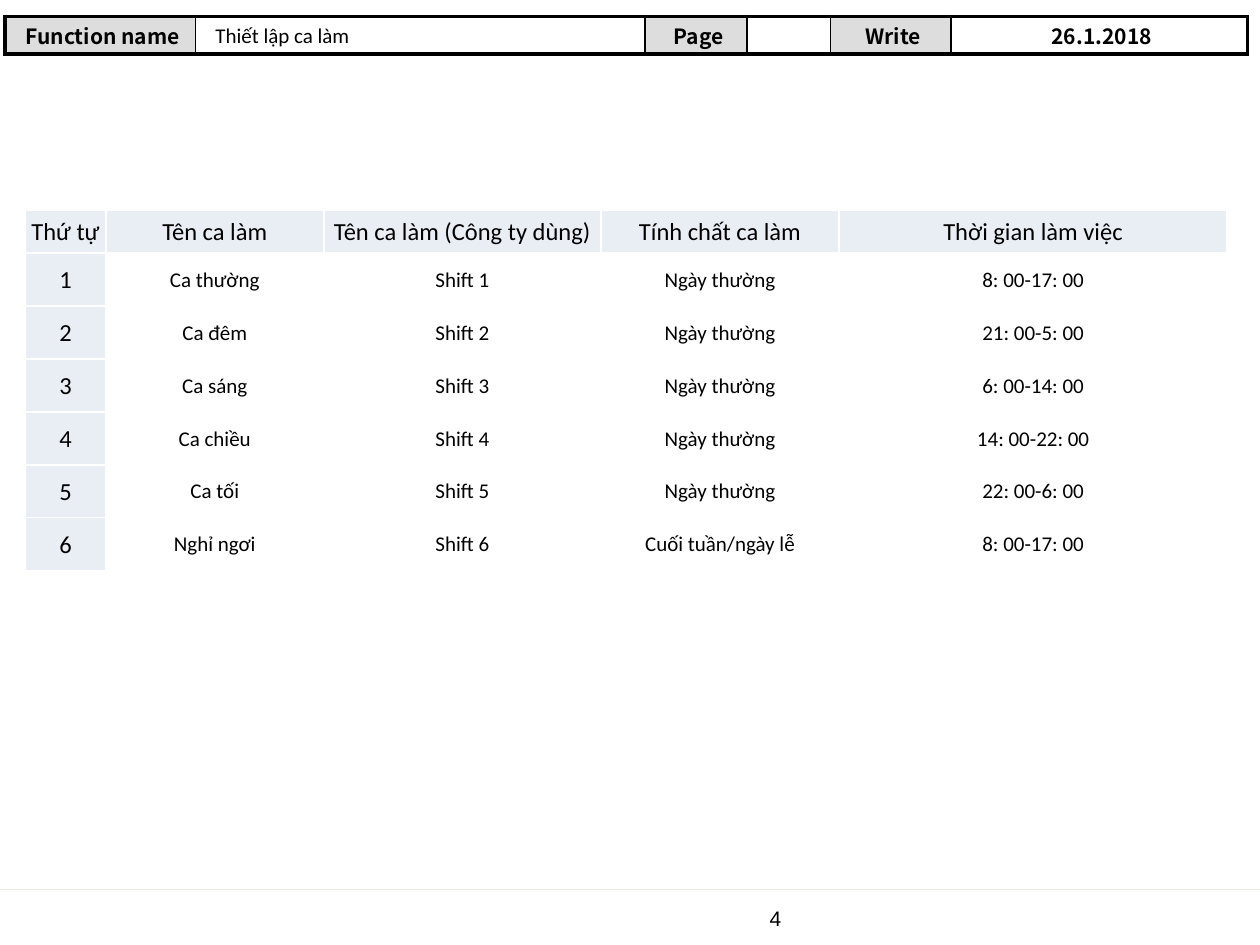
"""Build the work shift setup slide with its header strip and shift table."""
from dataclasses import dataclass

from lxml import etree
from pptx import Presentation
from pptx.dml.color import RGBColor
from pptx.enum.shapes import MSO_CONNECTOR
from pptx.enum.text import MSO_ANCHOR, MSO_AUTO_SIZE, PP_ALIGN
from pptx.oxml.ns import qn
from pptx.util import Inches, Pt

CENTER, LEFT = PP_ALIGN.CENTER, PP_ALIGN.LEFT
MIDDLE, TOP = MSO_ANCHOR.MIDDLE, MSO_ANCHOR.TOP
NO_AUTOFIT = MSO_AUTO_SIZE.NONE
STRAIGHT = MSO_CONNECTOR.STRAIGHT
TITLE_ONLY = 5


@dataclass(frozen=True)
class Theme:
    """Colours, fonts and sizes of the slide."""
    ink: str = "000000"
    paper: str = "FFFFFF"
    label: str = "DDDDDD"
    heading: str = "E9EDF4"
    rule: str = "EEECE1"
    body_font: str = "Calibri"
    label_font: str = "Noto Sans CJK SC"
    number_font: str = "Arial"
    body_size: float = 12
    heading_size: float = 14
    thin: float = 1
    thick: float = 2.25
    rule_width: float = 0.75


class SlideBuilder:
    """Holds the theme and the current slide and draws each kind of element."""

    def __init__(self, page, theme):
        self.page = page
        self.theme = theme

    def style(self, para, font, size, align, bold=False):
        para.alignment = align
        para.font.name = font
        para.font.size = Pt(size)
        para.font.bold = bold
        para.font.color.rgb = RGBColor.from_string(self.theme.ink)

    def fill_frame(self, box, text, font, anchor, wrap):
        frame = box.text_frame
        frame.text = text
        frame.word_wrap = wrap
        frame.auto_size = NO_AUTOFIT
        frame.vertical_anchor = anchor
        self.style(frame.paragraphs[0], font, self.theme.body_size, LEFT)

    def title(self, text, left, top, width, height):
        box = self.page.shapes.title
        box.left, box.top = Inches(left), Inches(top)
        box.width, box.height = Inches(width), Inches(height)
        self.fill_frame(box, text, self.theme.body_font, MIDDLE, True)

    def page_number(self, text, left, top, width, height):
        box = self.page.shapes.add_textbox(
            Inches(left), Inches(top), Inches(width), Inches(height))
        self.fill_frame(box, text, self.theme.number_font, TOP, False)

    def rule(self, top, width):
        line = self.page.shapes.add_connector(
            STRAIGHT, 0, Inches(top), Inches(width), Inches(top))
        line.line.color.rgb = RGBColor.from_string(self.theme.rule)
        line.line.width = Pt(self.theme.rule_width)
        etree.SubElement(line._element.spPr, qn("a:effectLst"))

    def table(self, left, top, columns, rows):
        frame = self.page.shapes.add_table(
            len(rows), len(columns), Inches(left), Inches(top),
            Inches(sum(columns)), Inches(sum(rows)))
        table = frame.table
        table.first_row = table.horz_banding = False
        for column, width in zip(table.columns, columns):
            column.width = Inches(width)
        for row, height in zip(table.rows, rows):
            row.height = Inches(height)
        return table

    def borders(self, cell, color, widths):
        properties = cell._tc.get_or_add_tcPr()
        for side, width in zip("LRTB", widths):
            line = etree.SubElement(properties, qn(f"a:ln{side}"), w=str(Pt(width)))
            solid = etree.SubElement(line, qn("a:solidFill"))
            etree.SubElement(solid, qn("a:srgbClr"), val=color)

    def cell(self, cell, text, fill, font, size, margins, bold=False):
        cell.margin_left, cell.margin_top, cell.margin_right, cell.margin_bottom = (
            Inches(margin) for margin in margins)
        cell.vertical_anchor = MIDDLE
        if fill:
            cell.fill.solid()
            cell.fill.fore_color.rgb = RGBColor.from_string(fill)
        else:
            cell.fill.background()
        cell.text = text
        self.style(cell.text_frame.paragraphs[0], font, size, CENTER, bold)

    def header_strip(self, left, top, columns, height, texts):
        theme = self.theme
        table = self.table(left, top, columns, [height])
        last = len(columns) - 1
        for index, text in enumerate(texts):
            cell = table.cell(0, index)
            self.borders(cell, theme.ink, (
                theme.thick if index == 0 else theme.thin,
                theme.thick if index == last else theme.thin,
                theme.thick, theme.thick))
            fill = theme.label if index % 2 == 0 else None
            self.cell(cell, text, fill, theme.label_font, theme.body_size,
                      (0.04, 0, 0, 0), bold=True)

    def shift_table(self, left, top, columns, heights, records):
        theme = self.theme
        table = self.table(left, top, columns, heights)
        for row, record in enumerate(records):
            for column, text in enumerate(record):
                cell = table.cell(row, column)
                is_heading = row == 0 or column == 0
                self.borders(cell, theme.paper, [theme.thin] * 4)
                self.cell(cell, text,
                          theme.heading if is_heading else theme.paper,
                          theme.body_font,
                          theme.heading_size if is_heading else theme.body_size,
                          (0.01, 0.01, 0.01, 0))


HEADER = ["Function name", "", "Page", "", "Write", "26.1.2018"]
HEADINGS = ["Thứ tự", "Tên ca làm", "Tên ca làm (Công ty dùng)",
            "Tính chất ca làm", "Thời gian làm việc"]
SHIFTS = [
    ("Ca thường", "Ngày thường", "8: 00-17: 00"),
    ("Ca đêm", "Ngày thường", "21: 00-5: 00"),
    ("Ca sáng", "Ngày thường", "6: 00-14: 00"),
    ("Ca chiều", "Ngày thường", "14: 00-22: 00"),
    ("Ca tối", "Ngày thường", "22: 00-6: 00"),
    ("Nghỉ ngơi", "Cuối tuần/ngày lễ", "8: 00-17: 00"),
]


def main():
    deck = Presentation()
    deck.slide_width, deck.slide_height = Inches(10), Inches(7.5)
    page = deck.slides.add_slide(deck.slide_layouts[TITLE_ONLY])
    builder = SlideBuilder(page, Theme())

    builder.header_strip(0.04, 0.13, [1.51, 3.57, 0.81, 0.66, 0.96, 2.35], 0.3, HEADER)
    builder.page_number("4", 6.01, 7.14, 0.4, 0.3)
    builder.rule(7.06, 10)
    builder.title("Thiết lập ca làm", 1.61, 0.13, 2.83, 0.3)

    records = [HEADINGS] + [
        (str(number), name, f"Shift {number}", kind, hours)
        for number, (name, kind, hours) in enumerate(SHIFTS, 1)]
    builder.shift_table(0.2, 1.67, [0.64, 1.73, 2.2, 1.89, 3.08],
                        [0.34] + [0.42] * len(SHIFTS), records)
    deck.save("out.pptx")


if __name__ == "__main__":
    main()
